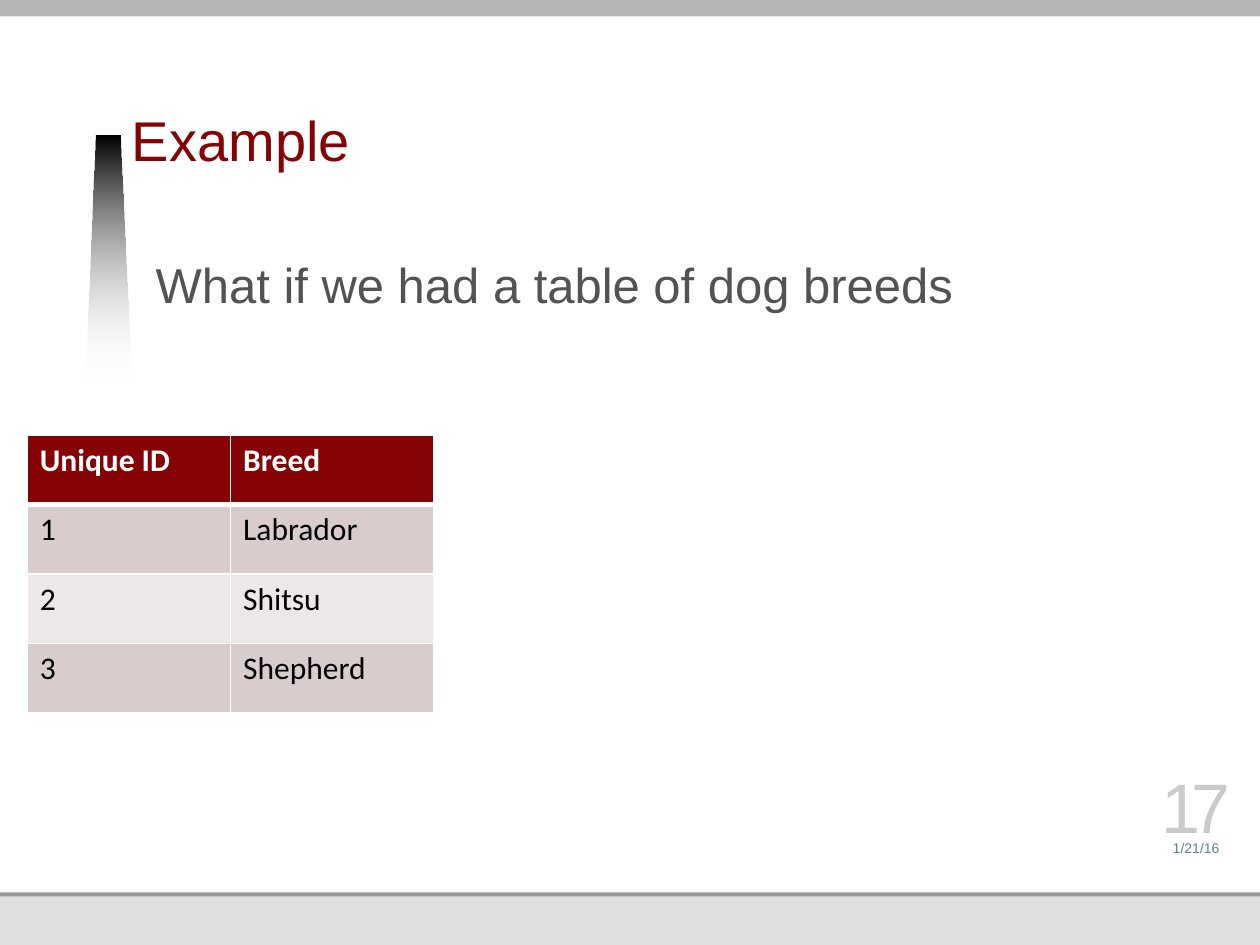
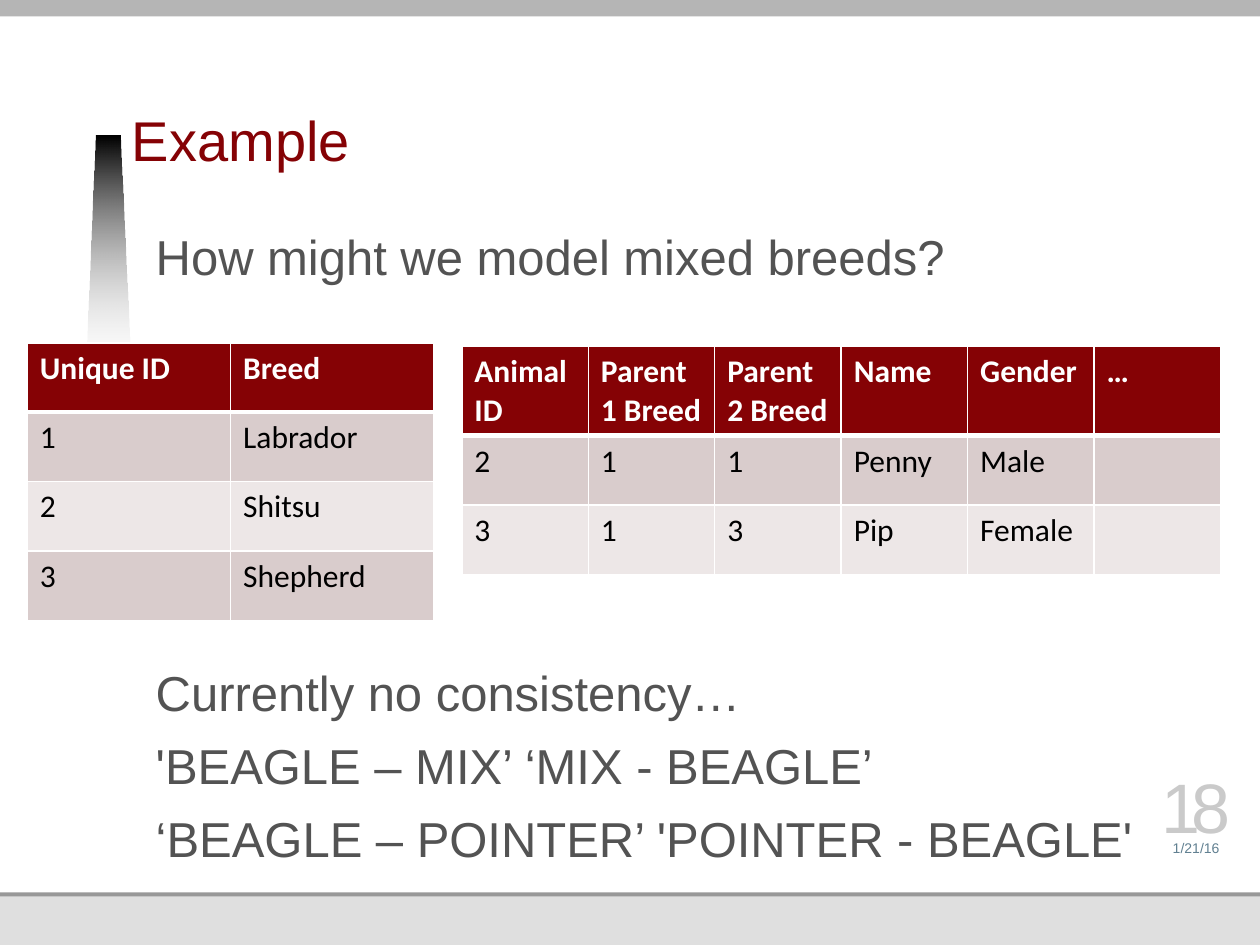
from dataclasses import dataclass

from lxml import etree
from pptx import Presentation
from pptx.dml.color import RGBColor
from pptx.enum import shapes, text
from pptx.oxml import ns
from pptx.util import Cm, Pt

WINE, GREY, WHITE, BLACK = "850205", "535353", "FFFFFF", "000000"
ROSE, PALE = "D9CCCC", "EDE7E7"
LINE, AFTER = 33.6, 8  # body line height and gap, in points


@dataclass
class Box:
    left: float
    top: float
    width: float
    height: float

    def place(self) -> tuple:
        return Cm(self.left), Cm(self.top), Cm(self.width), Cm(self.height)


@dataclass
class Style:
    size: float
    color: str
    face: str = "Arial"
    bold: bool = False


@dataclass
class Grid:
    left: float
    top: float
    col: float
    head: float
    rows: list


# Shared look: footer, rule, page and top band, from back to front
BANDS = [
    (Box(0, 0, 25.4, 19.05), "DFDFDF"),
    (Box(0, 4.52, 25.4, 13.55), "989898"),
    (Box(0, 0, 25.4, 17.99), WHITE),
    (Box(0, 0, 25.4, 0.33), "B5B5B5"),
]
BEAM = [(1.72, 7.75), (1.93, 2.74), (2.43, 2.74), (2.66, 7.75)]
TITLE = Box(2.66, 0.88, 17.45, 2.74)
DATE = Box(23.19, 16.71, 1.85, 0.56)
NUMBER = Box(23.19, 15.67, 1.85, 1.42)
ROW = 1.4
BREEDS = [["Unique ID", "Breed"], ["1", "Labrador"], ["2", "Shitsu"], ["3", "Shepherd"]]
PETS = [
    ["Animal ID", "Parent 1 Breed", "Parent 2 Breed", "Name", "Gender", "…"],
    ["2", "1", "1", "Penny", "Male", ""],
    ["3", "1", "3", "Pip", "Female", ""],
]


def shade(code: str) -> RGBColor:
    return RGBColor.from_string(code)


def style(para, look: Style) -> None:
    font = para.font
    font.name, font.size, font.bold = look.face, Pt(look.size), look.bold
    font.color.rgb = shade(look.color)


def frame(shape, anchor, foot: float = 0):
    body = shape.text_frame
    body.word_wrap = True
    body.auto_size = text.MSO_AUTO_SIZE.NONE
    body.vertical_anchor = anchor
    body.margin_left = body.margin_right = body.margin_top = 0
    body.margin_bottom = Cm(foot)
    return body


def label(slide, box: Box, words: str, look: Style):
    body = frame(slide.shapes.add_textbox(*box.place()), text.MSO_ANCHOR.BOTTOM)
    para = body.paragraphs[0]
    para.text = words
    para.alignment = text.PP_ALIGN.CENTER
    style(para, look)
    return para


def start(deck, title: str, page: int):
    slide = deck.slides.add_slide(deck.slide_layouts[5])

    # Bands
    for box, color in BANDS:
        band = slide.shapes.add_shape(shapes.MSO_SHAPE.RECTANGLE, *box.place())
        band.shadow.inherit = False
        band.fill.solid()
        band.fill.fore_color.rgb = shade(color)
        band.line.fill.background()

    # Beam beside the title, fading to clear
    first, *rest = [(Cm(x), Cm(y)) for x, y in BEAM]
    path = slide.shapes.build_freeform(*first)
    path.add_line_segments(rest)
    beam = path.convert_to_shape()
    beam.shadow.inherit = False
    beam.line.fill.background()
    beam.fill.gradient()
    beam.fill.gradient_angle = 270
    for stop, color, spot in zip(beam.fill.gradient_stops, (BLACK, WHITE), (0, 1)):
        stop.color.rgb = shade(color)
        stop.position = spot
    clear = beam._element.findall(".//" + ns.qn("a:srgbClr"))[-1]
    etree.SubElement(clear, ns.qn("a:alpha"), val="0")

    # Title, in front of the bands
    head = slide.shapes.title
    slide.shapes._spTree.append(head._element)
    head.left, head.top, head.width, head.height = TITLE.place()
    para = frame(head, text.MSO_ANCHOR.BOTTOM, 0.13).paragraphs[0]
    para.text = title
    para.alignment = text.PP_ALIGN.LEFT
    para.line_spacing = Pt(34)
    style(para, Style(32, WINE))

    # Date and page number
    label(slide, DATE, "1/21/16", Style(8, "618091"))
    para = label(slide, NUMBER, str(page), Style(40, "CACACA"))
    para.runs[0].font._element.set("spc", "-500")
    return slide


def prose(slide, box: Box, lines: list, skip: int = 0) -> None:
    """Write the lines, leaving room for skip lines after the first."""
    body = frame(slide.shapes.add_textbox(*box.place()), text.MSO_ANCHOR.TOP, 0.13)
    for i, words in enumerate(lines):
        para = body.add_paragraph() if i else body.paragraphs[0]
        para.text = words
        para.line_spacing, para.space_after = Pt(LINE), Pt(AFTER)
        if i == 1:
            para.space_before = Pt(skip * (LINE + AFTER))
        style(para, Style(28, GREY))


def edge(cell, side: str, width: float) -> None:
    props = cell._tc.get_or_add_tcPr()
    line = etree.SubElement(props, ns.qn(f"a:ln{side}"), w=str(Pt(width)))
    fill = etree.SubElement(line, ns.qn("a:solidFill"))
    etree.SubElement(fill, ns.qn("a:srgbClr"), val=WHITE)


def table(slide, grid: Grid) -> None:
    rows, cols = len(grid.rows), len(grid.rows[0])
    box = Box(grid.left, grid.top, grid.col * cols, grid.head + ROW * (rows - 1))
    tab = slide.shapes.add_table(rows, cols, *box.place()).table
    for col in tab.columns:
        col.width = Cm(grid.col)
    for i, row in enumerate(grid.rows):
        tab.rows[i].height = Cm(ROW if i else grid.head)
        color = (ROSE if i % 2 else PALE) if i else WINE
        look = Style(18, BLACK if i else WHITE, "Calibri", i == 0)
        for j, words in enumerate(row):
            cell = tab.cell(i, j)
            for side in "LRTB":
                edge(cell, side, 3 if (i, side) in [(0, "B"), (1, "T")] else 1)
            cell.fill.solid()
            cell.fill.fore_color.rgb = shade(color)
            para = cell.text_frame.paragraphs[0]
            para.text = words
            style(para, look)


def main() -> None:
    deck = Presentation()
    deck.slide_width, deck.slide_height = Cm(25.4), Cm(19.05)

    # Breed table
    slide = start(deck, "Example", 17)
    prose(slide, Box(3.14, 5.14, 19.58, 12.17), ["What if we had a table of dog breeds"])
    table(slide, Grid(0.55, 8.77, 4.1, ROW, BREEDS))

    # Mixed breeds
    slide = start(deck, "Example", 18)
    prose(slide, Box(3.14, 4.56, 21.5, 12.17), [
        "How might we model mixed breeds?",
        "Currently no consistency…",
        "'BEAGLE – MIX’ ‘MIX - BEAGLE’",
        "‘BEAGLE – POINTER’ 'POINTER - BEAGLE'",
    ], skip=5)
    table(slide, Grid(0.55, 6.91, 4.1, ROW, BREEDS))
    table(slide, Grid(9.31, 6.98, 2.55, 1.8, PETS))

    deck.save("out.pptx")


if __name__ == "__main__":
    main()
